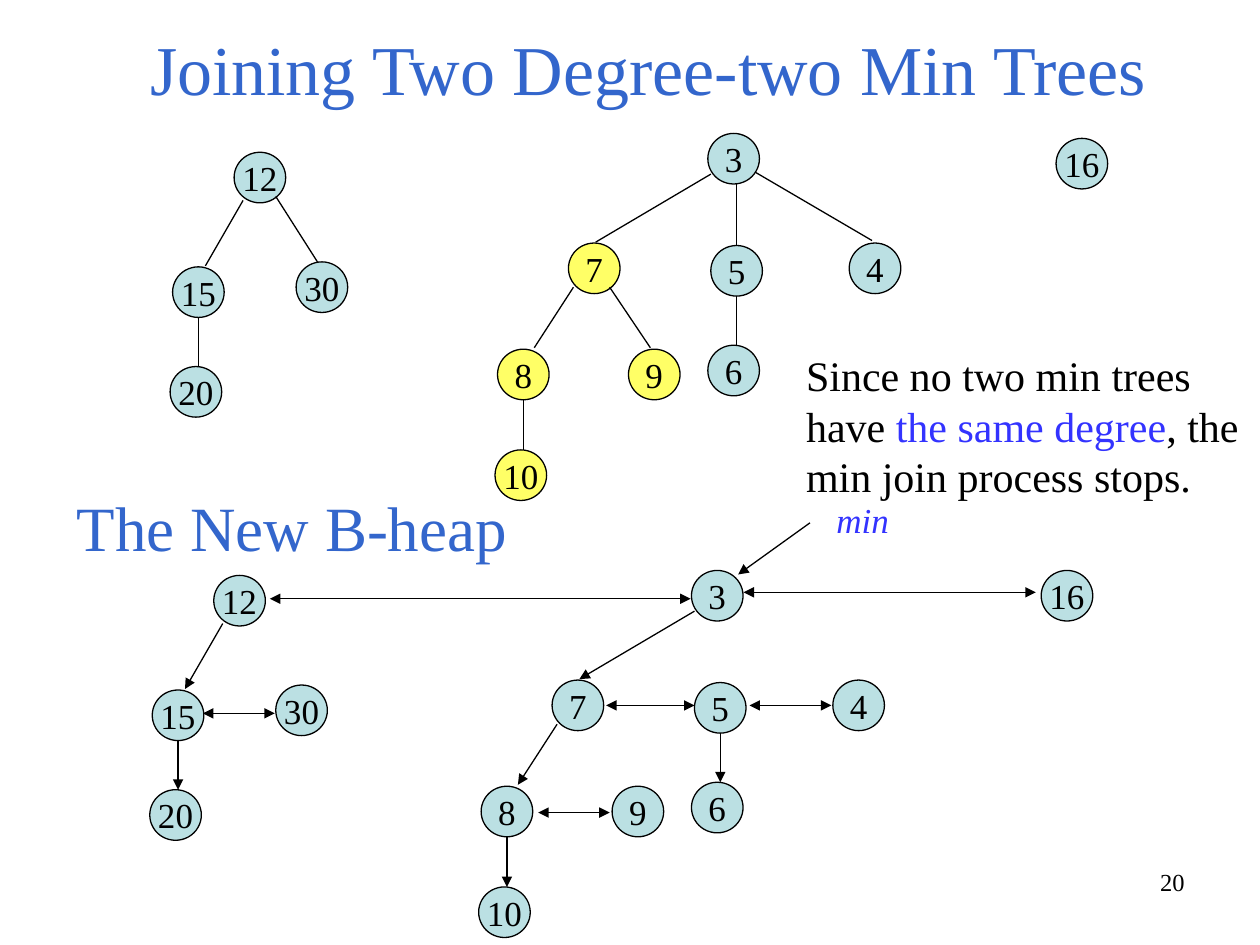
from lxml import etree
from pptx import Presentation
from pptx.dml.color import RGBColor
from pptx.enum import shapes, text
from pptx.oxml.ns import qn
from pptx.util import Cm, Pt

COLORS = {"ink": "000000", "heading": "3366CC", "accent": "3333FF",
          "node": "BBE0E3", "joined": "FFFF66"}
FONT = "Times New Roman"
NODE_WIDTH, NODE_HEIGHT = 1.04, 1.02

TITLE = "Joining Two Degree-two Min Trees"

# Per tree: shift from the min trees to the heap, node corners, slanted edges
# as (child, start, end), and upright stems as (parent, child); centimetres.
TREES = [
    {"shift": (-0.41, 8.53),
     "nodes": {12: (4.72, 3.07), 15: (3.48, 5.38), 20: (3.43, 7.39), 30: (5.97, 5.28)},
     "edges": [(15, (4.90, 4.04), (4.14, 5.36)), (30, (5.56, 3.96), (6.40, 5.28))],
     "stems": [(15, 20)]},
    {"shift": (-0.33, 8.81),
     "nodes": {3: (14.27, 2.69), 7: (11.46, 4.90), 5: (14.33, 4.95), 4: (17.12, 4.90),
               8: (10.03, 7.04), 9: (12.67, 7.04), 10: (9.98, 9.07), 6: (14.27, 6.96)},
     "edges": [(7, (14.33, 3.51), (12.01, 4.88)), (4, (15.24, 3.48), (17.58, 4.85)),
               (8, (11.56, 5.79), (10.77, 7.01)), (9, (12.29, 5.79), (13.11, 7.01))],
     "stems": [(3, 5), (5, 6), (8, 10)]},
    {"shift": (-0.30, 8.71), "nodes": {16: (21.29, 2.79)}, "edges": [], "stems": []},
]
JOINED = {7, 8, 9, 10}
FIRST_CHILDREN = {15, 20, 7, 8, 10, 6}
# Level sibling links as (from x, to x, y)
SIBLING_LINKS = [
    (5.54, 4.09, 14.38),
    (12.22, 14.00, 14.22),
    (15.11, 16.76, 14.22),
    (10.85, 12.29, 16.38),
    (13.92, 5.44, 12.07),
    (14.99, 20.88, 11.94),
]
MIN_POINTER = ((16.33, 10.54), (14.88, 11.58))

# Box in centimetres, runs as (text, colour), font format, alignment
CAPTIONS = [
    ((16.00, 6.93, 9.40, 3.30),
     [("Since no two min trees have ", "ink"), ("the same degree", "accent"),
      (", the min join process stops.", "ink")],
     {"size": Pt(24)}, text.PP_ALIGN.LEFT),
    ((16.61, 9.93, 1.73, 1.12), [("min", "accent")],
     {"size": Pt(20), "italic": True}, text.PP_ALIGN.LEFT),
    ((1.30, 9.73, 11.61, 1.78), [("The New B-heap", "heading")],
     {"size": Pt(36)}, text.PP_ALIGN.LEFT),
    ((18.21, 17.35, 5.92, 1.32), [("20", "ink")],
     {"size": Pt(14)}, text.PP_ALIGN.RIGHT),
]


def rgb(color):
    return RGBColor.from_string(COLORS[color])


def write(frame, runs, font_format, alignment):
    paragraph = frame.paragraphs[0]
    paragraph.alignment = alignment
    for words, color in runs:
        run = paragraph.add_run()
        run.text = words
        for key, value in {"name": FONT, **font_format}.items():
            setattr(run.font, key, value)
        run.font.color.rgb = rgb(color)


def draw_line(slide, start, end, arrows=()):
    """Draw a line with a triangle at each end named in arrows (head, tail)."""
    line = slide.shapes.add_connector(
        shapes.MSO_CONNECTOR.STRAIGHT, *(Cm(value) for value in (*start, *end)))
    line.line.width = Pt(0.75)
    line.line.color.rgb = rgb("ink")
    properties = line._element.spPr.find(qn("a:ln"))
    for arrow in arrows:
        etree.SubElement(properties, qn(f"a:{arrow}End"), type="triangle")
    etree.SubElement(line._element.spPr, qn("a:effectLst"))


def draw_node(slide, key, corner, color):
    node = slide.shapes.add_shape(
        shapes.MSO_SHAPE.OVAL, *(Cm(value) for value in (*corner, NODE_WIDTH, NODE_HEIGHT)))
    node.shadow.inherit = False
    node.fill.solid()
    node.fill.fore_color.rgb = rgb(color)
    node.line.color.rgb = rgb("ink")
    node.line.width = Pt(0.75)
    node.text_frame.word_wrap = False
    node.text_frame.vertical_anchor = text.MSO_ANCHOR.MIDDLE
    write(node.text_frame, [(str(key), "ink")], {"size": Pt(20)}, text.PP_ALIGN.CENTER)


def stem_ends(parent_corner, child_corner):
    """Bottom of the parent, and the point straight below at the child's top."""
    x = max(parent_corner[0], child_corner[0]) + NODE_WIDTH / 2
    return (x, parent_corner[1] + NODE_HEIGHT), (x, child_corner[1])


def draw_forest(slide, as_heap):
    """Draw all trees; as a heap, only first children keep their parent link."""
    arrows = ("tail",) if as_heap else ()
    for tree in TREES:
        dx, dy = tree["shift"] if as_heap else (0, 0)
        corners = tree["nodes"]
        for key, (x, y) in corners.items():
            color = "joined" if key in JOINED and not as_heap else "node"
            draw_node(slide, key, (x + dx, y + dy), color)
        stems = [(child, *stem_ends(corners[parent], corners[child]))
                 for parent, child in tree["stems"]]
        for child, *ends in tree["edges"] + stems:
            if not as_heap or child in FIRST_CHILDREN:
                start, end = [(x + dx, y + dy) for x, y in ends]
                draw_line(slide, start, end, arrows)


def main():
    deck = Presentation()
    deck.slide_width, deck.slide_height = Cm(25.4), Cm(19.05)
    slide = deck.slides.add_slide(deck.slide_layouts[5])

    title = slide.shapes.title
    title.left, title.top, title.width, title.height = Cm(1.9), Cm(0.89), Cm(22.33), Cm(1.45)
    title.text_frame.auto_size = text.MSO_AUTO_SIZE.NONE
    title.text_frame.vertical_anchor = text.MSO_ANCHOR.BOTTOM
    write(title.text_frame, [(TITLE, "heading")], {"size": Pt(40)}, text.PP_ALIGN.CENTER)

    draw_forest(slide, as_heap=False)
    draw_forest(slide, as_heap=True)
    for from_x, to_x, y in SIBLING_LINKS:
        draw_line(slide, (from_x, y), (to_x, y), ("head", "tail"))
    draw_line(slide, *MIN_POINTER, arrows=("tail",))

    for box, runs, font_format, alignment in CAPTIONS:
        caption = slide.shapes.add_textbox(*(Cm(value) for value in box))
        caption.text_frame.word_wrap = True
        write(caption.text_frame, runs, font_format, alignment)

    deck.save("out.pptx")


if __name__ == "__main__":
    main()
